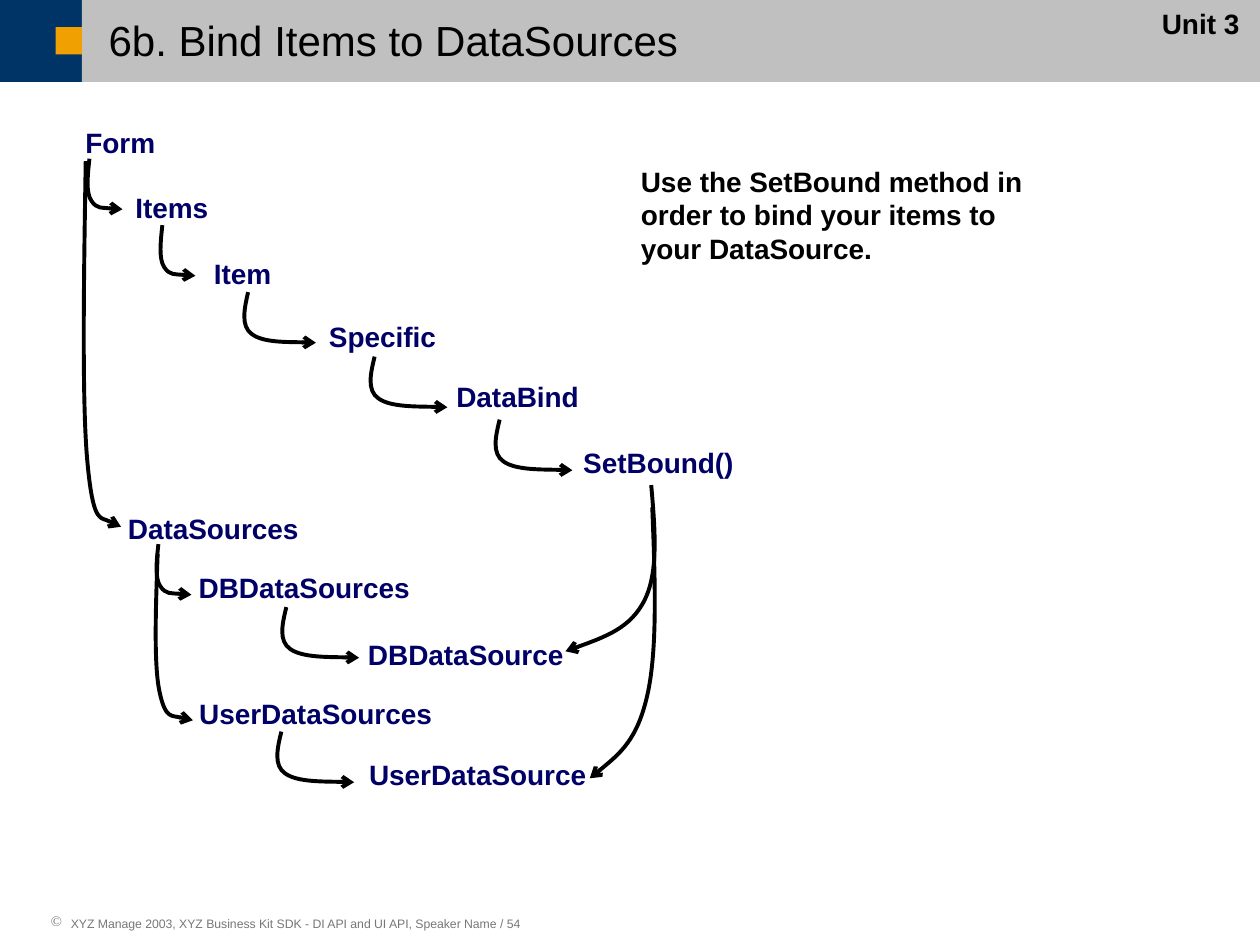
import pptx
import pptx.dml.color
import pptx.enum.shapes
import pptx.enum.text
import pptx.oxml
import pptx.oxml.ns
import pptx.util

Cm = pptx.util.Cm
Pt = pptx.util.Pt
RGBColor = pptx.dml.color.RGBColor
Align = pptx.enum.text.PP_ALIGN
Anchor = pptx.enum.text.MSO_ANCHOR
qn = pptx.oxml.ns.qn

NAVY = RGBColor(0x00, 0x33, 0x66)
SILVER = RGBColor(0xC0, 0xC0, 0xC0)
AMBER = RGBColor(0xF0, 0xA0, 0x00)
INK = RGBColor(0x00, 0x00, 0x66)
BLACK = RGBColor(0x00, 0x00, 0x00)
GREY = RGBColor(0x77, 0x77, 0x77)

HOOK = [(0.1, 0), (0.05, 0.33), (0, 0.67), (0.15, 0.83), (0.3, 1), (0.88, 0.99), (1, 1)]
SWEEP = [(0.92, 0), (0.96, 0.26), (1, 0.52), (0.85, 0.69), (0.7, 0.86), (0.35, 0.93), (0, 1)]

LABELS = [
    ("Form", 0, 0, 2.11),
    ("Items", 1.07, 1.3, 2.11),
    ("Item", 2.34, 2.64, 2.11),
    ("Specific", 5.03, 3.91, 2.74),
    ("DataBind", 7.42, 5.11, 3.23),
    ("SetBound()", 9.68, 6.45, 4.09),
    ("DataSources", 0.43, 7.77, 4.57),
    ("DBDataSources", 2.08, 8.97, 5.16),
    ("DBDataSource", 5.18, 10.31, 5.16),
    ("UserDataSources", 1.85, 11.51, 5.84),
    ("UserDataSource", 5.31, 12.73, 5.49),
]
ARROWS = [
    (HOOK, 0.46, 0.79, 0.74, 1.02),
    (HOOK, 1.93, 2.13, 0.74, 1.02),
    (HOOK, 3.58, 3.48, 1.52, 1.02),
    (HOOK, 6.12, 4.78, 1.63, 1.02),
    (HOOK, 8.64, 6.05, 1.63, 1.02),
    (HOOK, 0.38, 0.84, 0.79, 7.37),
    (HOOK, 1.85, 8.56, 0.74, 1.02),
    (HOOK, 1.83, 8.76, 0.79, 3.35),
    (HOOK, 4.34, 9.83, 1.63, 1.02),
    (HOOK, 4.24, 12.34, 1.63, 1.02),
    (SWEEP, 10.13, 7.37, 1.88, 3.35),
    (SWEEP, 10.62, 7.82, 1.37, 5.46),
]

LABEL = {"size": Pt(16), "bold": True, "name": "Arial"}
TITLE = {"size": Pt(24), "bold": False, "name": "Arial"}
CREDIT = {"size": Pt(7), "bold": False, "name": "Arial"}
PLAIN = {"space_before": Pt(10)}
PADS = (0.25, 0.13, 0.25, 0.13)


def put(item, values):
    """Set each named value on the item."""
    for name, value in values.items():
        setattr(item, name, value)


def write(slide, box, text, font, color, para, pads=PADS, anchor=Anchor.TOP):
    """Add a text box and return its paragraph."""
    frame = slide.shapes.add_textbox(*map(Cm, box)).text_frame
    sides = ("margin_left", "margin_top", "margin_right", "margin_bottom")
    put(frame, {"word_wrap": True, "vertical_anchor": anchor})
    put(frame, dict(zip(sides, map(Cm, pads))))
    line = frame.paragraphs[0]
    put(line, para)
    run = line.add_run()
    run.text = text
    put(run.font, font)
    run.font.color.rgb = color
    return line


def block(slide, box, color):
    """Add a plain filled rectangle."""
    kind = pptx.enum.shapes.MSO_SHAPE.RECTANGLE
    shape = slide.shapes.add_shape(kind, *map(Cm, box))
    shape.shadow.inherit = False
    shape.fill.solid()
    shape.fill.fore_color.rgb = color
    shape.line.fill.background()


def arrow(slide, box, curve):
    """Draw a smooth arrow by fitting a unit curve to the box."""
    left, top, width, height = box
    first, *rest = [(Cm(left + x * width), Cm(top + y * height)) for x, y in curve]
    pen = slide.shapes.build_freeform(*first)
    pen.add_line_segments(rest, close=False)
    shape = pen.convert_to_shape()
    shape.shadow.inherit = False
    shape.fill.background()
    shape.line.color.rgb = BLACK
    shape.line.width = Pt(2.25)
    track = next(shape.element.iter(qn("a:path")))
    steps = track.findall(qn("a:lnTo"))
    for start in range(0, len(steps), 3):
        bend = pptx.oxml.ns.qn("a:cubicBezTo")
        bend = track.makeelement(bend, {})
        track.append(bend)
        for step in steps[start:start + 3]:
            bend.append(step[0])
            track.remove(step)
    line = shape.element.spPr.find(qn("a:ln"))
    line.append(line.makeelement(qn("a:tailEnd"), {"type": "arrow"}))


def header(slide, box):
    """Draw the title bar with its colour blocks and unit mark."""
    left, top, width, height = box
    block(slide, (left, top, height, height), NAVY)
    block(slide, (left + height, top, width - height, height), SILVER)
    block(slide, (left + 1.12, top + 0.55, 0.53, 0.55), AMBER)
    write(slide, (left + 1.68, top + 0.33, 23.27, 1.07), "6b. Bind Items to DataSources",
          TITLE, BLACK, {"line_spacing": 0.9}, (0.51, 0, 0, 0), Anchor.MIDDLE)
    write(slide, (left + width - 2.39, top, 2.39, 0.94), "Unit 3", LABEL, BLACK,
          {**PLAIN, "alignment": Align.CENTER})


def tree(slide, box):
    """Draw the object tree with its arrows and labels."""
    left, top = box[:2]
    for curve, x, y, width, height in ARROWS:
        arrow(slide, (left + x, top + y, width, height), curve)
    for text, x, y, width in LABELS:
        write(slide, (left + x, top + y, width, 0.94), text, LABEL, INK,
              {**PLAIN, "alignment": Align.RIGHT})


def note(slide, box):
    """Place the advice beside the tree."""
    write(slide, box, "Use the SetBound method in order to bind your items to your DataSource.",
          LABEL, BLACK, PLAIN)


def footer(slide, box):
    """Place the credit line with its bullet sign."""
    line = write(slide, box,
                 "XYZ Manage 2003, XYZ Business Kit SDK - DI API and UI API, Speaker Name / 54",
                 CREDIT, GREY, {"line_spacing": 0.9}, (0, 0, 0, 0), Anchor.MIDDLE)
    props = line._p.get_or_add_pPr()
    props.set("marL", str(Cm(0.41)))
    props.set("indent", str(-Cm(0.41)))
    space = pptx.oxml.ns.nsdecls("a")
    for part in (f'<a:buClr {space}><a:srgbClr val="{GREY}"/></a:buClr>',
                 f'<a:buSzPct {space} val="120000"/>',
                 f'<a:buChar {space} char="©"/>'):
        props.append(pptx.oxml.parse_xml(part))


def main():
    """Build the slide and save it."""
    deck = pptx.Presentation()
    put(deck, {"slide_width": Cm(25.4), "slide_height": Cm(19.05)})
    slide = deck.slides.add_slide(deck.slide_layouts[6])
    header(slide, (0, 0, 25.4, 1.65))
    footer(slide, (1.02, 18.49, 15.52, 0.28))
    tree(slide, (1.27, 2.41, 13.77, 13.67))
    note(slide, (12.67, 3.18, 8.33, 2.29))
    deck.save("out.pptx")


if __name__ == "__main__":
    main()
